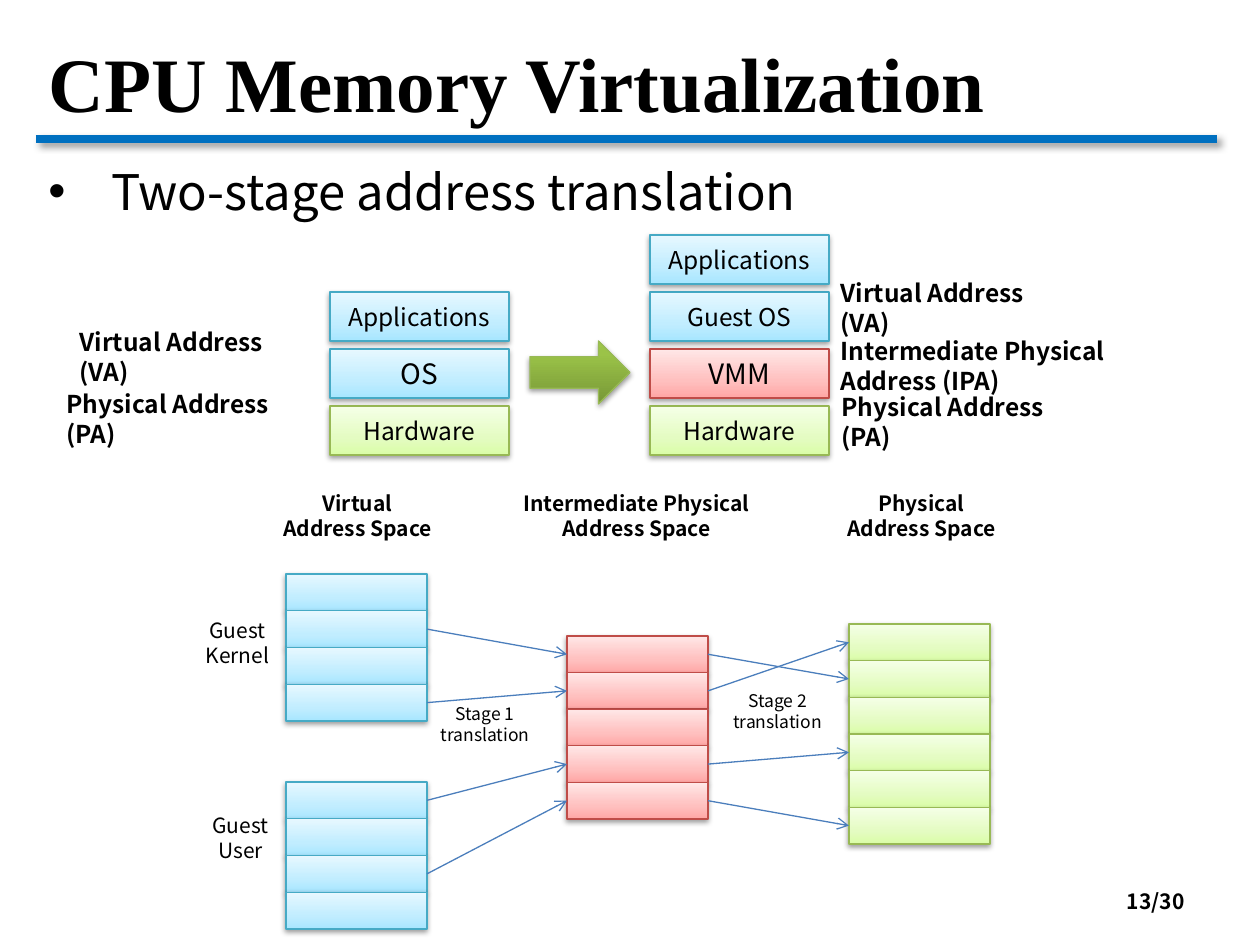
"""Build the slide on two-stage address translation."""
from lxml.etree import SubElement
from pptx import Presentation
from pptx.dml.color import RGBColor
from pptx.enum.shapes import MSO_CONNECTOR as Connector, MSO_SHAPE as Preset
from pptx.enum.text import MSO_ANCHOR as Anchor, PP_ALIGN as Align
from pptx.oxml.ns import qn
from pptx.util import Pt

PIXEL = 914400 / 126
FONT, TITLE_FONT = "Noto Sans CJK KR", "Times New Roman"
COLORS = {"text": "000000", "rule": "0070C0", "arrow": "4B7EBC", "shadow": "000000"}
PALETTES = {
    "blue": ("46AAC5", [(0, "A7E6FF"), (35, "C1EDFF"), (100, "E7F8FF")]),
    "red": ("BF4C48", [(0, "FFA6A5"), (35, "FFC0BF"), (100, "FFE7E7")]),
    "green": ("98B955", [(0, "DAFDA7"), (35, "E4FCC2"), (100, "F5FFE7")]),
    "dark green": ("98B955", [(0, "779737"), (80, "9BC348"), (100, "9DC746")]),
}
BOX_SHADOW = {"opacity": 38, "blur": 3.1, "distance": 1.6, "angle": 90}
RULE_SHADOW = {"opacity": 40, "blur": 4, "distance": 3, "angle": 45}

TITLE = ("CPU Memory Virtualization", (36, 18, 1181, 127))
BULLET = ("Two-stage address translation", (36, 155, 1181, 694))
PAGE = ("13/30", (903, 876, 294, 50))
RULE = (36, 139, 1217, 139)
BLOCK_ARROW = (530, 341, 100, 63)

STACK_BOTTOM, LAYER_PITCH, LAYER_WIDTH, LAYER_HEIGHT = 406, 57, 179, 49
STACKS = [
    (330, [("Hardware", 14, "green"), ("OS", 16, "blue"), ("Applications", 14, "blue")]),
    (650, [("Hardware", 14, "green"), ("VMM", 16, "red"), ("Guest OS", 14, "blue"),
           ("Applications", 14, "blue")]),
]
ADDRESS_LABELS = [
    ("Virtual Address (VA)", (67, 321, 232, 43)),
    ("Physical Address (PA)", (54, 383, 243, 43)),
    ("Virtual Address (VA)", (828, 272, 232, 43)),
    ("Physical Address (PA)", (829, 386, 243, 43)),
    ("Intermediate Physical Address (IPA)", (828, 330, 384, 43)),
]
PAGE_WIDTH = 141
PAGE_COLUMNS = {
    "kernel": (286, 574, 147, 4, "blue"),
    "user": (286, 782, 147, 4, "blue"),
    "intermediate": (567, 636, 183, 5, "red"),
    "physical": (849, 624, 220, 6, "green"),
}
MAPPINGS = [
    ("kernel", 1, "intermediate", 0), ("kernel", 3, "intermediate", 1),
    ("user", 0, "intermediate", 3), ("user", 2, "intermediate", 4),
    ("intermediate", 0, "physical", 1), ("intermediate", 1, "physical", 0),
    ("intermediate", 3, "physical", 3), ("intermediate", 4, "physical", 5),
]
CAPTIONS = [
    ("Guest\nKernel", (185, 611, 105, 78), 12, False),
    ("Guest\nUser", (188, 806, 105, 78), 12, False),
    ("Stage 1\ntranslation", (418, 697, 134, 68), 10, False),
    ("Stage 2\ntranslation", (709, 684, 137, 68), 10, False),
    ("Virtual\nAddress Space", (259, 484, 197, 78), 12, True),
    ("Physical\nAddress Space", (823, 484, 197, 78), 12, True),
    ("Intermediate Physical\nAddress Space", (497, 484, 279, 78), 12, True),
]


def scale(lengths):
    return [round(length * PIXEL) for length in lengths]


def rgb(value):
    return RGBColor.from_string(value)


def write(shape, text, size, bold=False, align=Align.LEFT, anchor=Anchor.TOP, font=FONT):
    frame = shape.text_frame
    frame.text = text
    for name, value in {"word_wrap": True, "vertical_anchor": anchor}.items():
        setattr(frame, name, value)
    for paragraph in frame.paragraphs:
        paragraph.alignment = align
        values = {"name": font, "size": Pt(size), "bold": bold}
        for name, value in values.items():
            setattr(paragraph.font, name, value)
        paragraph.font.color.rgb = rgb(COLORS["text"])
    return frame


def add_text(text, place, size, **style):
    return write(slide.shapes.add_textbox(*scale(place)), text, size, **style)


def add_shadow(effects, opacity, blur, distance, angle):
    shadow = SubElement(effects, qn("a:outerShdw"), blurRad=str(Pt(blur)), dist=str(Pt(distance)),
                        dir=str(angle * 60000), algn="ctr", rotWithShape="0")
    color = SubElement(shadow, qn("a:srgbClr"), val=COLORS["shadow"])
    SubElement(color, qn("a:alpha"), val=str(opacity * 1000))


def add_box(preset, place, palette):
    shape = slide.shapes.add_shape(preset, *scale(place))
    line_color, stops = PALETTES[palette]
    shape.line.color.rgb = rgb(line_color)
    shape.line.width = Pt(0.75)
    shape.fill.gradient()
    shape.fill.gradient_angle = 90
    properties = shape.element.spPr
    stop_list = properties.find(qn("a:gradFill")).find(qn("a:gsLst"))
    for stop in list(stop_list):
        stop_list.remove(stop)
    for position, color in stops:
        stop = SubElement(stop_list, qn("a:gs"), pos=str(position * 1000))
        SubElement(stop, qn("a:srgbClr"), val=color)
    shape.shadow.inherit = False
    add_shadow(properties.find(qn("a:effectLst")), **BOX_SHADOW)
    return shape


def add_line(ends, color, width):
    line = slide.shapes.add_connector(Connector.STRAIGHT, *scale(ends))
    line.line.color.rgb = rgb(COLORS[color])
    line.line.width = Pt(width)
    return line, SubElement(line.element.spPr, qn("a:effectLst"))


presentation = Presentation()
presentation.slide_width, presentation.slide_height = scale((1260, 945))
slide = presentation.slides.add_slide(presentation.slide_layouts[6])

rule, rule_effects = add_line(RULE, "rule", 4.5)
add_shadow(rule_effects, **RULE_SHADOW)
add_text(*TITLE, 44, bold=True, anchor=Anchor.MIDDLE, font=TITLE_FONT)
bullet = add_text(*BULLET, 28).paragraphs[0]
bullet.space_before = Pt(5.6)
bullet_properties = bullet._p.get_or_add_pPr()
indent = round(63 * PIXEL)
bullet_properties.set("marL", str(indent))
bullet_properties.set("indent", str(-indent))
SubElement(bullet_properties, qn("a:buFont"), typeface="Arial")
SubElement(bullet_properties, qn("a:buChar"), char="•")

for left, layers in STACKS:
    for level, (name, size, palette) in enumerate(layers):
        top = STACK_BOTTOM - level * LAYER_PITCH
        layer = add_box(Preset.RECTANGLE, (left, top, LAYER_WIDTH, LAYER_HEIGHT), palette)
        write(layer, name, size, align=Align.CENTER, anchor=Anchor.MIDDLE)

for text, place in ADDRESS_LABELS:
    add_text(text, place, 14, bold=True)
add_box(Preset.RIGHT_ARROW, BLOCK_ARROW, "dark green")

pages = {}
for column, (left, top, height, count, palette) in PAGE_COLUMNS.items():
    step = height / count
    for index in range(count):
        place = (left, top + index * step, PAGE_WIDTH, step)
        pages[column, index] = add_box(Preset.RECTANGLE, place, palette)

RIGHT_SITE, LEFT_SITE = 3, 1
for source, source_index, target, target_index in MAPPINGS:
    arrow, effects = add_line((0, 0, 0, 0), "arrow", 0.75)
    arrow.begin_connect(pages[source, source_index], RIGHT_SITE)
    arrow.end_connect(pages[target, target_index], LEFT_SITE)
    SubElement(arrow.element.spPr.find(qn("a:ln")), qn("a:tailEnd"), type="arrow")

for text, place, size, bold in CAPTIONS:
    add_text(text, place, size, bold=bold, align=Align.CENTER)
add_text(*PAGE, 12, bold=True, align=Align.RIGHT, anchor=Anchor.MIDDLE)

presentation.save("out.pptx")
